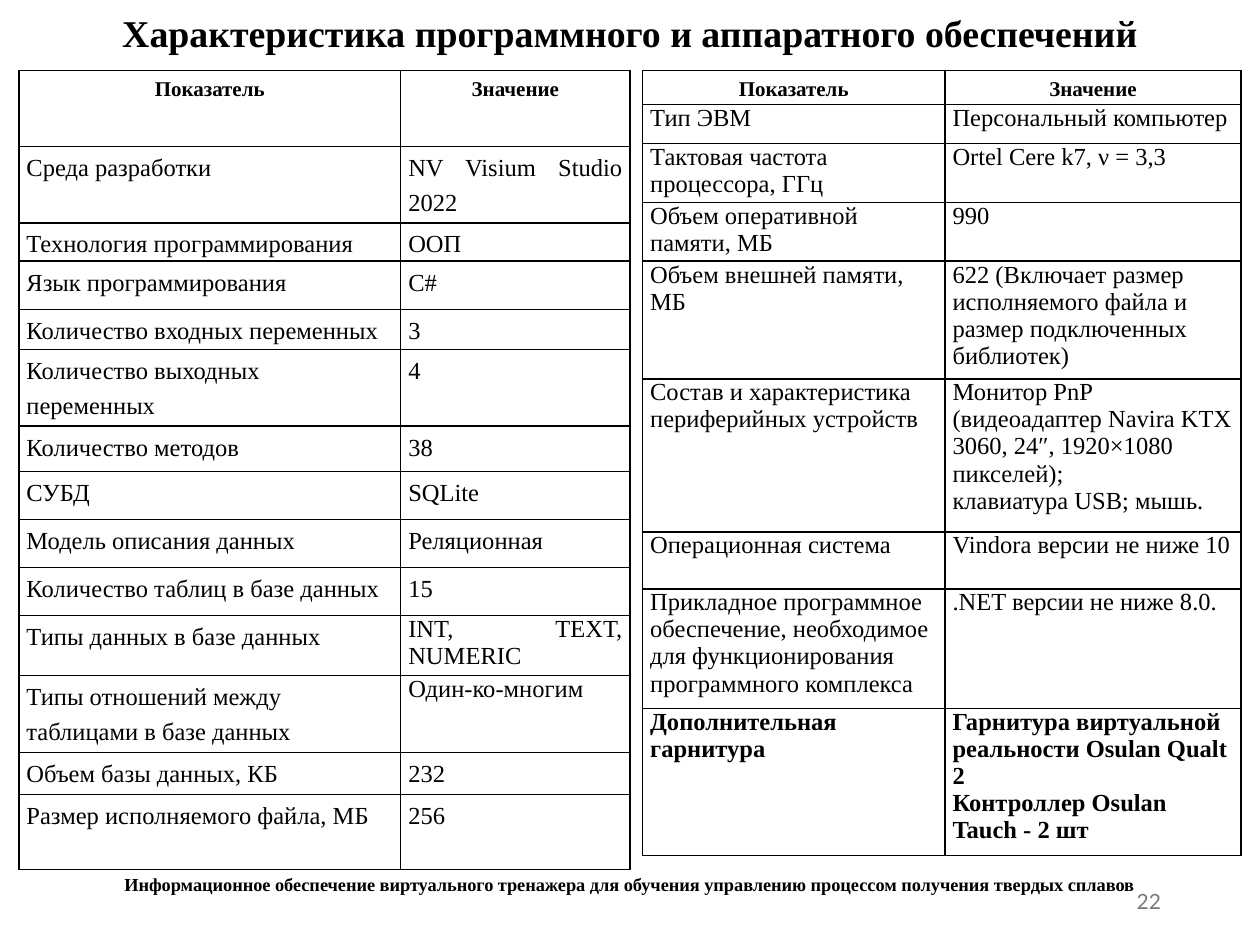
import pptx
import pptx.util
import pptx.dml.color
import pptx.enum.text
import pptx.oxml

Pt = pptx.util.Pt
Align = pptx.enum.text.PP_ALIGN
Anchor = pptx.enum.text.MSO_ANCHOR
BLACK = pptx.dml.color.RGBColor(0x00, 0x00, 0x00)
GREY = pptx.dml.color.RGBColor(0x79, 0x79, 0x79)
WHITE = pptx.dml.color.RGBColor(0xFF, 0xFF, 0xFF)
SERIF = "Times New Roman"
LOOSE = 1.3
HEAD = ("Показатель", "Значение")

SOFT = [
    HEAD,
    ("Среда разработки", "NV Visium Studio 2022"),
    ("Технология программирования", "ООП"),
    ("Язык программирования", "C#"),
    ("Количество входных переменных", "3"),
    ("Количество выходных переменных", "4"),
    ("Количество методов", "38"),
    ("СУБД", "SQLite"),
    ("Модель описания данных", "Реляционная"),
    ("Количество таблиц в базе данных", "15"),
    ("Типы данных в базе данных", "INT, TEXT, NUMERIC"),
    ("Типы отношений между таблицами в базе данных", "Один-ко-многим"),
    ("Объем базы данных, КБ", "232"),
    ("Размер исполняемого файла, МБ", "256"),
]
HARD = [
    HEAD,
    ("Тип ЭВМ", "Персональный компьютер"),
    ("Тактовая частота процессора, ГГц", "Ortel Cere k7, ν = 3,3"),
    ("Объем оперативной памяти, МБ", "990"),
    ("Объем внешней памяти, МБ",
     "622 (Включает размер исполняемого файла и размер подключенных библиотек)"),
    ("Состав и характеристика периферийных устройств",
     "Монитор PnP (видеоадаптер Navira KTX 3060, 24″, 1920×1080 пикселей);\n"
     "клавиатура USB; мышь."),
    ("Операционная система", "Vindora версии не ниже 10"),
    ("Прикладное программное обеспечение, необходимое для функционирования "
     "программного комплекса", ".NET версии не ниже 8.0."),
    ("Дополнительная гарнитура",
     "Гарнитура виртуальной реальности Osulan Qualt 2\n"
     "Контроллер Osulan Tauch - 2 шт"),
]
SOFT_ROWS = [43.4, 42, 20, 27.7, 22.9, 42, 26, 27.4, 27.4, 27.4, 34.3, 44, 24, 42.9]
HARD_ROWS = [19.4, 22.3, 32.6, 32.6, 64.9, 87.4, 32.6, 68.3, 81.1]


def style(frame, size, bold=False, align=Align.LEFT, gap=1.0, font=SERIF, color=BLACK):
    for para in frame.paragraphs:
        para.alignment = align
        para.line_spacing = gap
        for run in para.runs:
            run.font.name = font
            run.font.size = Pt(size)
            run.font.bold = bold
            run.font.color.rgb = color


def label(slide, box, text, size, anchor=Anchor.MIDDLE, **look):
    frame = slide.shapes.add_textbox(*map(Pt, box)).text_frame
    frame.word_wrap = True
    frame.vertical_anchor = anchor
    frame.text = text
    style(frame, size, **look)


def border(cell):
    props = cell._tc.get_or_add_tcPr()
    for spot, side in enumerate(("lnL", "lnR", "lnT", "lnB")):
        line = pptx.oxml.parse_xml(
            f'<a:{side} xmlns:a="http://schemas.openxmlformats.org/drawingml/2006/main" '
            f'w="{Pt(1)}"><a:solidFill><a:srgbClr val="{BLACK}"/></a:solidFill></a:{side}>')
        props.insert(spot, line)


def grid(slide, left, top, cols, rows, data):
    box = map(Pt, (left, top, sum(cols), sum(rows)))
    table = slide.shapes.add_table(len(rows), len(cols), *box).table
    table.first_row = table.horz_banding = False
    for col, width in zip(table.columns, cols):
        col.width = Pt(width)
    for row, height, texts in zip(table.rows, rows, data):
        row.height = Pt(height)
        for cell, text in zip(row.cells, texts):
            cell.margin_left = cell.margin_right = Pt(4.32)
            cell.margin_top = cell.margin_bottom = 0
            cell.fill.solid()
            cell.fill.fore_color.rgb = WHITE
            border(cell)
            cell.text_frame.text = text
            style(cell.text_frame, 14)
    for cell in table.rows[0].cells:
        style(cell.text_frame, 12, bold=True, align=Align.CENTER, gap=LOOSE)
    return table


def software(slide, left, top):
    table = grid(slide, left, top, (218.2, 131), SOFT_ROWS, SOFT)
    for num in range(1, len(SOFT)):
        name, value = table.rows[num].cells
        style(name.text_frame, 14, gap=LOOSE)
        gap = 1.0 if num in (10, 11) else LOOSE
        style(value.text_frame, 14, align=Align.JUSTIFY, gap=gap)


def hardware(slide, left, top):
    table = grid(slide, left, top, (172.8, 169.2), HARD_ROWS, HARD)
    for cell in table.rows[len(HARD) - 1].cells:
        style(cell.text_frame, 14, bold=True)


def main():
    deck = pptx.Presentation()
    deck.slide_width, deck.slide_height = Pt(720), Pt(540)
    slide = deck.slides.add_slide(deck.slide_layouts[6])
    label(slide, (49.5, 0, 621, 40.3),
          "Характеристика программного и аппаратного обеспечений",
          21.6, bold=True, align=Align.CENTER, gap=0.9)
    software(slide, 10.8, 40.3)
    label(slide, (508.5, 500.5, 162, 28.8), "22", 12,
          align=Align.RIGHT, font="Lato", color=GREY)
    hardware(slide, 367.2, 40.3)
    label(slide, (49.5, 495.4, 621, 20),
          "Информационное обеспечение виртуального тренажера для обучения "
          "управлению процессом получения твердых сплавов",
          10.5, anchor=Anchor.TOP, bold=True, align=Align.CENTER)
    deck.save("out.pptx")


if __name__ == "__main__":
    main()
